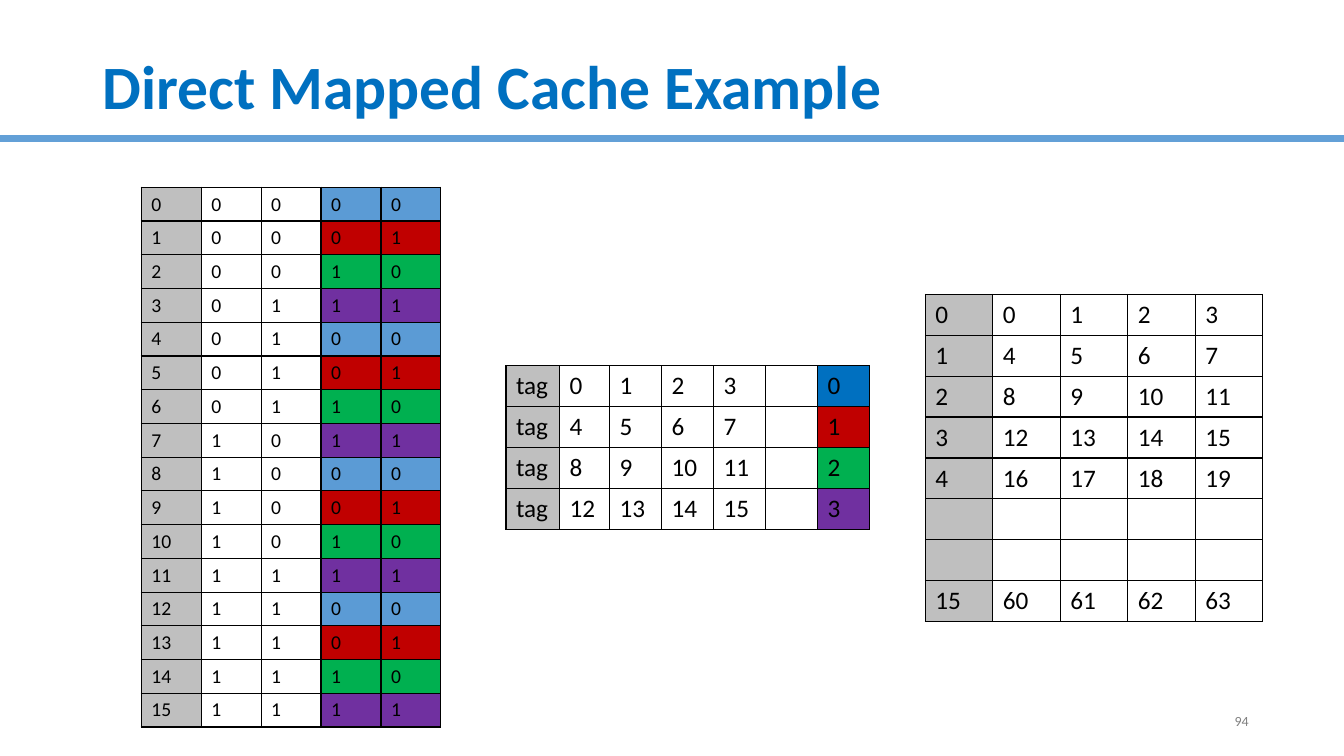
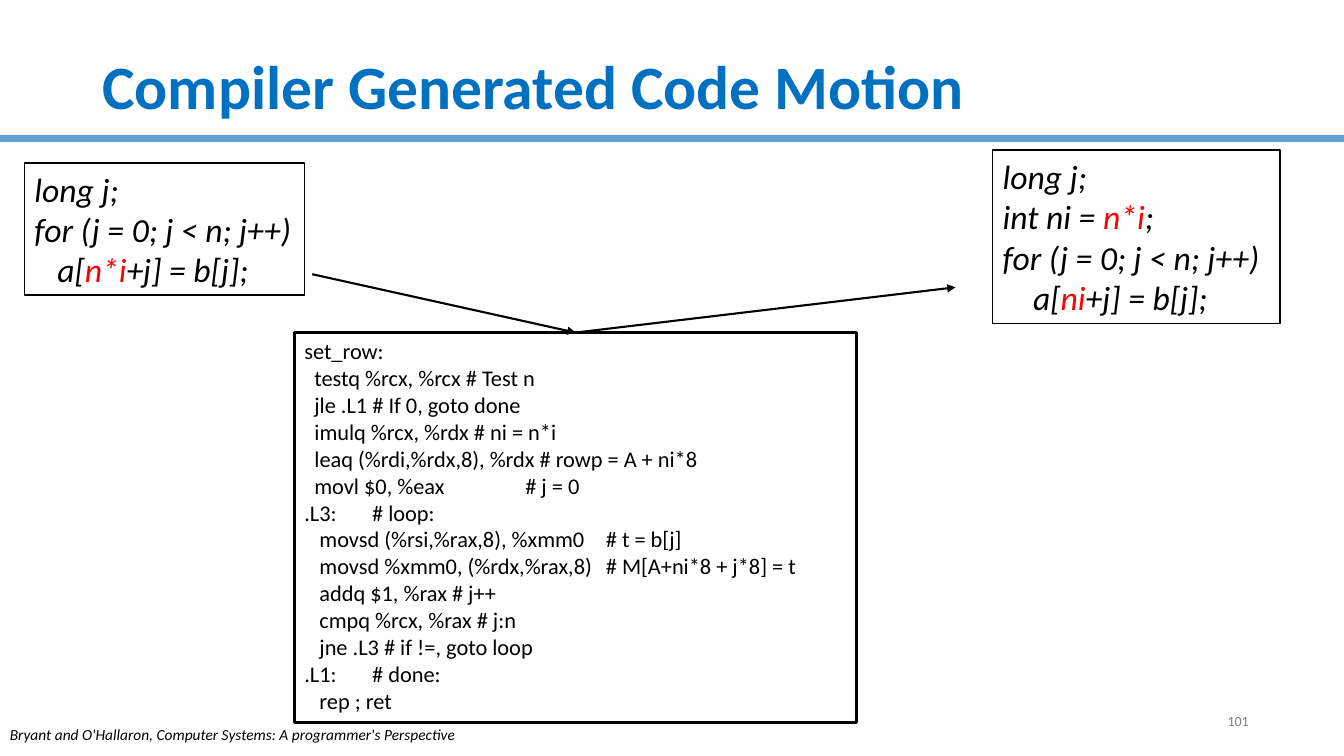
from dataclasses import dataclass

from lxml import etree
from pptx import Presentation
from pptx.dml.color import RGBColor
from pptx.enum.shapes import MSO_CONNECTOR, MSO_SHAPE
from pptx.enum.text import MSO_ANCHOR, PP_ALIGN
from pptx.oxml.ns import qn
from pptx.util import Cm, Pt

STRAIGHT = MSO_CONNECTOR.STRAIGHT
RECTANGLE = MSO_SHAPE.RECTANGLE
TOP, MIDDLE = MSO_ANCHOR.TOP, MSO_ANCHOR.MIDDLE
LEFT, RIGHT = PP_ALIGN.LEFT, PP_ALIGN.RIGHT
TOP_SIDE = 0  # connection site of a rectangle


@dataclass(frozen=True)
class Theme:
    font: str = "Calibri"
    black: str = "000000"
    title: str = "0070C0"
    rule: str = "63A0D7"
    page_number: str = "808080"
    label: str = "BFBFBF"
    highlight: str = "FF0000"
    address_sets: tuple = ("5B9BD5", "C00000", "00B050", "7030A0")
    cache_sets: tuple = ("0070C0", "C00000", "00B050", "7030A0")
    title_size: int = 44
    snippet_size: int = 24
    table_size: int = 18
    assembly_size: int = 16
    address_size: int = 14
    citation_size: int = 11
    page_number_size: int = 10


THEME = Theme()
WIDTH, HEIGHT = 33.87, 19.05
RULE_TOP = 3.5

# Code shown on the second slide; odd parts of a snippet line are highlighted
LOOP = [
    ("long j;",),
    ("for (j = 0; j < n; j++)",),
    ("   a[", "n*i", "+j] = b[j];"),
]
HOISTED_LOOP = [
    ("long j;",),
    ("int ni = ", "n*i", ";"),
    ("for (j = 0; j < n; j++)",),
    ("    a[", "ni", "+j] = b[j];"),
]
ASSEMBLY = [
    "set_row:",
    "  testq %rcx, %rcx # Test n",
    "  jle .L1 # If 0, goto done",
    "  imulq %rcx, %rdx # ni = n*i",
    "  leaq (%rdi,%rdx,8), %rdx # rowp = A + ni*8",
    "  movl $0, %eax\t# j = 0",
    ".L3:\t# loop:",
    "   movsd (%rsi,%rax,8), %xmm0\t# t = b[j]",
    "   movsd %xmm0, (%rdx,%rax,8)\t# M[A+ni*8 + j*8] = t",
    "   addq $1, %rax # j++",
    "   cmpq %rcx, %rax # j:n",
    "   jne .L3 # if !=, goto loop",
    ".L1:\t# done:",
    "   rep ; ret",
]
COMMENT_TABS = (1.71, 5.57, 7.6)


def to_cm(box):
    return [Cm(length) for length in box]


def style(paragraph, size, color=THEME.black, bold=False, italic=False, align=LEFT):
    paragraph.alignment = align
    font = paragraph.font
    font.name = THEME.font
    font.size = Pt(size)
    font.bold = bold
    font.italic = italic
    font.color.rgb = RGBColor.from_string(color)


def add_text(slide, box, text, size, anchor=TOP, **look):
    frame = slide.shapes.add_textbox(*to_cm(box)).text_frame
    frame.word_wrap = True
    frame.vertical_anchor = anchor
    paragraph = frame.paragraphs[0]
    paragraph.text = text
    style(paragraph, size, **look)
    return paragraph


def add_line(slide, start, end, color, width, arrow=False):
    line = slide.shapes.add_connector(STRAIGHT, *to_cm(start + end))
    line.line.color.rgb = RGBColor.from_string(color)
    line.line.width = Pt(width)
    if arrow:
        etree.SubElement(line.line._get_or_add_ln(), qn("a:tailEnd"), type="triangle")
    etree.SubElement(line._element.spPr, qn("a:effectLst"))
    return line


def add_frame(slide, box, line_width, anchor):
    shape = slide.shapes.add_shape(RECTANGLE, *to_cm(box))
    shape.shadow.inherit = False
    shape.fill.background()
    shape.line.color.rgb = RGBColor.from_string(THEME.black)
    shape.line.width = Pt(line_width)
    shape.text_frame.word_wrap = True
    shape.text_frame.vertical_anchor = anchor
    return shape


def add_base_slide(presentation, title, number):
    slide = presentation.slides.add_slide(presentation.slide_layouts[6])
    add_line(slide, (WIDTH, RULE_TOP), (0, RULE_TOP), THEME.rule, 5)
    heading = add_text(slide, (2.33, 1.02, 29.2, 2.48), title, THEME.title_size,
                       anchor=MIDDLE, color=THEME.title, bold=True)
    heading.line_spacing = 0.9
    add_text(slide, (24.1, 17.66, 7.62, 1.01), str(number), THEME.page_number_size,
             anchor=MIDDLE, color=THEME.page_number, align=RIGHT)
    return slide


# Tables
def add_borders(cell):
    properties = cell._tc.get_or_add_tcPr()
    for side in ("lnL", "lnR", "lnT", "lnB"):
        line = etree.SubElement(properties, qn(f"a:{side}"), w=str(Pt(1)))
        fill = etree.SubElement(line, qn("a:solidFill"))
        etree.SubElement(fill, qn("a:srgbClr"), val=THEME.black)


def add_grid(slide, corner, column_widths, row_height, rows, size,
             set_colors=(), colored_columns=0):
    """Grey first column; the last colored_columns cycle through set_colors."""
    box = (*corner, sum(column_widths), row_height * len(rows))
    table = slide.shapes.add_table(len(rows), len(column_widths), *to_cm(box)).table
    table.first_row = table.horz_banding = False
    for column, width in zip(table.columns, column_widths):
        column.width = Cm(width)
    first_colored = len(column_widths) - colored_columns
    for row_index, values in enumerate(rows):
        table.rows[row_index].height = Cm(row_height)
        for column_index, value in enumerate(values):
            cell = table.cell(row_index, column_index)
            add_borders(cell)
            color = None
            if column_index == 0:
                color = THEME.label
            elif column_index >= first_colored:
                color = set_colors[row_index % len(set_colors)]
            if color:
                cell.fill.solid()
                cell.fill.fore_color.rgb = RGBColor.from_string(color)
            else:
                cell.fill.background()
            paragraph = cell.text_frame.paragraphs[0]
            paragraph.text = str(value)
            style(paragraph, size)


def block_words(block):
    return list(range(4 * block, 4 * block + 4))


def build_cache_slide(presentation):
    slide = add_base_slide(presentation, "Direct Mapped Cache Example", 94)

    # Addresses: two tag bits, then two set bits
    tags = ["00"] * 3 + ["01"] * 4 + ["10"] * 4 + ["11"] * 5
    addresses = [[index, *tag, *format(index % 4, "02b")]
                 for index, tag in enumerate(tags)]
    add_grid(slide, (3.56, 4.72), [1.51] * 5, 0.85, addresses, THEME.address_size,
             THEME.address_sets, 2)

    # Memory blocks
    empty = [""] * 5
    memory = [[block, *block_words(block)] for block in range(5)]
    memory += [empty, empty, [15, *block_words(15)]]
    add_grid(slide, (23.32, 7.42), [1.7] * 5, 1.03, memory, THEME.table_size)

    # Cache lines
    cache = [["tag", *block_words(index), "", index] for index in range(4)]
    add_grid(slide, (12.75, 9.22), [1.35, 1.26] + [1.31] * 5, 1.03, cache,
             THEME.table_size, THEME.cache_sets, 1)


# Code boxes
def add_snippet(slide, box, lines):
    frame = add_frame(slide, box, 1, MIDDLE).text_frame
    for index, parts in enumerate(lines):
        paragraph = frame.add_paragraph() if index else frame.paragraphs[0]
        style(paragraph, THEME.snippet_size, italic=True)
        for part_index, part in enumerate(parts):
            run = paragraph.add_run()
            run.text = part
            if part_index % 2:
                run.font.color.rgb = RGBColor.from_string(THEME.highlight)


def add_assembly(slide, box):
    shape = add_frame(slide, box, 2, TOP)
    frame = shape.text_frame
    for index, line in enumerate(ASSEMBLY):
        paragraph = frame.add_paragraph() if index else frame.paragraphs[0]
        paragraph.text = line
        if "\t" in line:
            tabs = etree.SubElement(paragraph._p.get_or_add_pPr(), qn("a:tabLst"))
            for position in COMMENT_TABS:
                etree.SubElement(tabs, qn("a:tab"), pos=str(Cm(position)), algn="l")
        style(paragraph, THEME.assembly_size)
    return shape


def build_code_slide(presentation):
    slide = add_base_slide(presentation, "Compiler Generated Code Motion", 101)
    assembly = add_assembly(slide, (7.42, 8.38, 14.17, 9.83))

    # Arrows into and out of the assembly listing
    top_middle = (14.5, 8.38)
    incoming = add_line(slide, (7.87, 6.91), top_middle, THEME.black, 1.5, arrow=True)
    incoming.end_connect(assembly, TOP_SIDE)
    outgoing = add_line(slide, top_middle, (24.08, 7.24), THEME.black, 1.5, arrow=True)
    outgoing.begin_connect(assembly, TOP_SIDE)

    add_text(slide, (0, 18.16, 11.9, 0.74),
             "Bryant and O'Hallaron, Computer Systems: A programmer's Perspective",
             THEME.citation_size, italic=True)
    add_snippet(slide, (0.62, 4.11, 7.06, 3.33), LOOP)
    add_snippet(slide, (25.02, 3.78, 7.24, 4.37), HOISTED_LOOP)


def main():
    presentation = Presentation()
    presentation.slide_width = Cm(WIDTH)
    presentation.slide_height = Cm(HEIGHT)
    build_cache_slide(presentation)
    build_code_slide(presentation)
    presentation.save("out.pptx")


if __name__ == "__main__":
    main()
